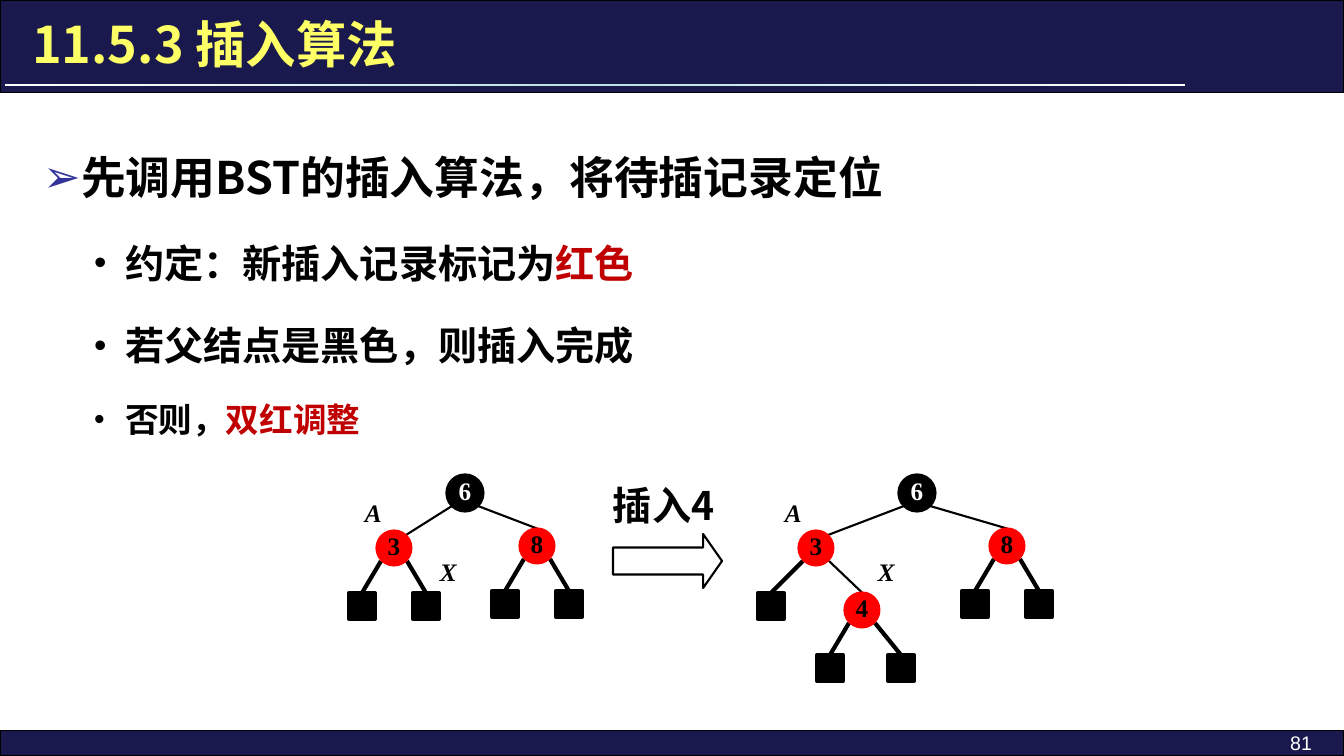
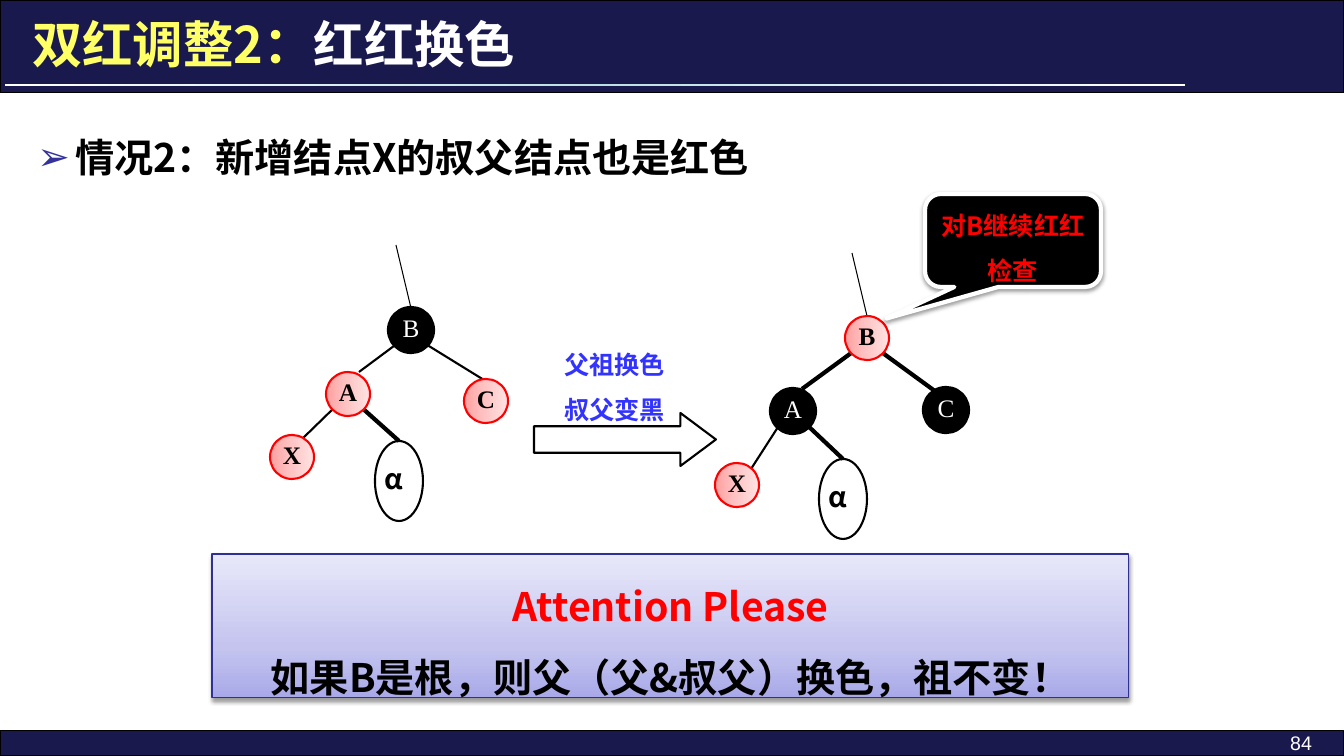
from collections import namedtuple

from lxml.etree import SubElement
from pptx import Presentation
from pptx.dml.color import RGBColor
from pptx.enum.shapes import MSO_CONNECTOR, MSO_SHAPE
from pptx.enum.text import MSO_ANCHOR, MSO_AUTO_SIZE, PP_ALIGN
from pptx.oxml.ns import qn
from pptx.util import Pt

EMU_PER_PX = 914400 / 100.8
WIDTH, HEIGHT = 1344, 756

NAVY = RGBColor(0x19, 0x19, 0x4D)
INDIGO = RGBColor(0x2F, 0x2F, 0x98)
BULLET = RGBColor(0x33, 0x33, 0x99)
BLUE = RGBColor(0x33, 0x33, 0xFF)
YELLOW = RGBColor(0xFF, 0xFF, 0x66)
RED = RGBColor(0xFF, 0x00, 0x00)
DARK_RED = RGBColor(0xC0, 0x00, 0x00)
BLACK = RGBColor(0x00, 0x00, 0x00)
WHITE = RGBColor(0xFF, 0xFF, 0xFF)
TEAL = RGBColor(0xBB, 0xE0, 0xE3)

PINK_FADE = ([(0, RGBColor(0xFF, 0xA0, 0xA0)), (50, RGBColor(0xFF, 0xC5, 0xC5)),
              (100, RGBColor(0xFF, 0xE3, 0xE3))], 0)
LILAC_FADE = ([(0, RGBColor(0xA9, 0xA9, 0xE9)), (35, RGBColor(0xC4, 0xC4, 0xEF)),
               (100, RGBColor(0xE8, 0xE8, 0xFA))], 270)
RULE_FADE = ([(0, WHITE), (50, TEAL), (100, WHITE)], 0)

CJK, SERIF, SANS = "Noto Sans CJK SC", "Times New Roman", "Arial"

Kind = namedtuple("Kind", "preset w h fill line line_pt font")
Node = namedtuple("Node", "label kind x y parent join weight", defaults=(None, None, 1.5))

NODE_FONT = {"name": SERIF, "size": 18, "bold": True}
LIGHT_FONT = {**NODE_FONT, "color": WHITE}
ROOT = Kind(MSO_SHAPE.OVAL, 35, 35, BLACK, BLACK, 3, LIGHT_FONT)
INNER = Kind(MSO_SHAPE.OVAL, 35, 35, RED, RED, 1.5, NODE_FONT)
LEAF = Kind(MSO_SHAPE.RECTANGLE, 26, 26, BLACK, BLACK, 3, NODE_FONT)
DARK = Kind(MSO_SHAPE.OVAL, 44, 44, BLACK, BLACK, 3, {**LIGHT_FONT, "bold": False})
PINK = Kind(MSO_SHAPE.OVAL, 44, 44, PINK_FADE, RED, 1.5, NODE_FONT)
SUBTREE = Kind(MSO_SHAPE.OVAL, 48, 80, None, BLACK, 1.5, {"size": 20})


def px(*lengths):
    return [round(n * EMU_PER_PX) for n in lengths]


def add_run(p, text, name=CJK, size=28, color=BLACK, bold=True, italic=False):
    r = p.add_run()
    r.text = text
    for key, value in {"name": name, "size": Pt(size), "bold": bold, "italic": italic}.items():
        setattr(r.font, key, value)
    r.font.color.rgb = color
    SubElement(r.font._element, qn("a:ea")).set("typeface", CJK)


def set_frame(tf, **values):
    for key, value in values.items():
        setattr(tf, key, value)


def write_lines(tf, lines, align, spacing=1.0):
    """Fill a frame with one paragraph for each (text, font values) pair."""
    for i, (text, font) in enumerate(lines):
        p = tf.add_paragraph() if i else tf.paragraphs[0]
        p.alignment, p.line_spacing = align, spacing
        add_run(p, text, **font)


def add_text(slide, box, lines, align=PP_ALIGN.LEFT, spacing=1.0):
    tf = slide.shapes.add_textbox(*px(*box)).text_frame
    tf.word_wrap = True
    write_lines(tf, lines, align, spacing)


def set_gradient(fill, sp, stops, angle):
    fill.gradient()
    grad = sp.element.spPr.find(qn("a:gradFill"))
    for child in list(grad):
        grad.remove(child)
    gs_list = SubElement(grad, qn("a:gsLst"))
    for pos, color in stops:
        gs = SubElement(gs_list, qn("a:gs"), pos=str(pos * 1000))
        SubElement(gs, qn("a:srgbClr"), val=str(color))
    SubElement(grad, qn("a:lin"), ang=str(angle * 60000), scaled="0")


def add_shape(slide, preset, box, fill=None, line=BLACK, line_pt=0.75, adjust=()):
    sp = slide.shapes.add_shape(preset, *px(*box))
    sp.shadow.inherit = False
    for i, value in enumerate(adjust):
        sp.adjustments[i] = value
    if fill is None:
        sp.fill.background()
    elif isinstance(fill, RGBColor):
        sp.fill.solid()
        sp.fill.fore_color.rgb = fill
    else:
        set_gradient(sp.fill, sp, *fill)
    if line is None:
        sp.line.fill.background()
    else:
        sp.line.color.rgb = line
        sp.line.width = Pt(line_pt)
    return sp


def add_soft_shadow(sp):
    effects = sp.element.spPr.find(qn("a:effectLst"))
    shadow = SubElement(effects, qn("a:outerShdw"), blurRad=str(Pt(3.1)), dist=str(Pt(1.6)),
                        dir="5400000", rotWithShape="0")
    color = SubElement(shadow, qn("a:srgbClr"), val=str(BLACK))
    SubElement(color, qn("a:alpha"), val="38000")


def add_line(slide, x1, y1, x2, y2, weight):
    line = slide.shapes.add_connector(MSO_CONNECTOR.STRAIGHT, *px(x1, y1, x2, y2))
    line.line.color.rgb = BLACK
    line.line.width = Pt(weight)
    SubElement(line.element.spPr, qn("a:effectLst"))


def add_node(slide, cx, cy, label, kind):
    box = (cx - kind.w / 2, cy - kind.h / 2, kind.w, kind.h)
    sp = add_shape(slide, kind.preset, box, kind.fill, kind.line, kind.line_pt)
    if label:
        right = 10 if kind is SUBTREE else 0
        set_frame(sp.text_frame, word_wrap=False, margin_left=0, margin_top=0,
                  margin_right=px(right)[0], margin_bottom=px(5)[0],
                  vertical_anchor=MSO_ANCHOR.MIDDLE)
        write_lines(sp.text_frame, [(label, kind.font)], PP_ALIGN.CENTER)


def draw_tree(slide, left, top, nodes):
    """Join each node to its parent's lower shoulder, then set the nodes on top."""
    for node in nodes:
        if node.parent is None:
            continue
        parent = nodes[node.parent]
        side = 13 if node.x > parent.x else -13
        dx, dy = node.join or (0, -node.kind.h / 2)
        add_line(slide, left + parent.x + side, top + parent.y + 13,
                 left + node.x + dx, top + node.y + dy, node.weight)
    for node in nodes:
        add_node(slide, left + node.x, top + node.y, node.label, node.kind)


def leaves(nodes, parent, *offsets):
    return [Node("", LEAF, nodes[parent].x + dx, nodes[parent].y + 58, parent, None, 3)
            for dx in offsets]


def set_bullet(p, char, left, hang, color=None, percent=None):
    pPr = p._p.get_or_add_pPr()
    pPr.set("marL", str(px(left)[0]))
    pPr.set("indent", str(px(-hang)[0]))
    if color is not None:
        SubElement(SubElement(pPr, qn("a:buClr")), qn("a:srgbClr"), val=str(color))
    if percent:
        SubElement(pPr, qn("a:buSzPct"), val=str(percent * 1000))
    SubElement(pPr, qn("a:buChar"), char=char)


def place(sp, box):
    sp.left, sp.top, sp.width, sp.height = px(*box)
    set_frame(sp.text_frame, word_wrap=True, auto_size=MSO_AUTO_SIZE.NONE)
    return sp.text_frame


def fill_body(slide, box, items):
    """Write (level, size, runs) items as a bulleted list."""
    tf = place(slide.placeholders[1], box)
    for i, (level, size, runs) in enumerate(items):
        p = tf.add_paragraph() if i else tf.paragraphs[0]
        p.level = level
        if level:
            set_bullet(p, "•", 82, 31, percent=90)
        else:
            set_bullet(p, "➢", 38, 38, BULLET)
        p.line_spacing = 1.5
        p.space_before = Pt(0.3 * size if i else 0)
        for text, font in runs:
            add_run(p, text, size=size, **font)


def add_bands(layout, slide):
    """Draw the bands and the rule, then hand them over to the layout."""
    bands = [
        add_shape(slide, MSO_SHAPE.RECTANGLE, (0, 731, WIDTH, 25), NAVY),
        add_shape(slide, MSO_SHAPE.RECTANGLE, (0, 0, WIDTH, 93), NAVY),
        add_shape(slide, MSO_SHAPE.RECTANGLE, (5, 84, 1180, 2), RULE_FADE, None),
    ]
    first = layout.shapes[0].element
    for i, sp in enumerate(bands):
        sp.element.nvSpPr.cNvPr.set("id", str(20 + i))
        first.addprevious(sp.element)


def add_titled_slide(prs, title, number):
    slide = prs.slides.add_slide(prs.slide_layouts[1])
    tf = place(slide.shapes.title, (22, 8, 1164, 71))
    tf.vertical_anchor = MSO_ANCHOR.MIDDLE
    p = tf.paragraphs[0]
    p.alignment = PP_ALIGN.LEFT
    for text, color in title:
        add_run(p, text, size=36, color=color)
    font = {"name": SANS, "size": 14, "color": WHITE, "bold": False}
    add_text(slide, (1120, 726, 202, 25), [(number, font)], PP_ALIGN.RIGHT)
    return slide


def build_insertion(prs):
    slide = add_titled_slide(prs, [("11.5.3 插入算法", YELLOW)], "81")
    fill_body(slide, (33, 118, 1277, 588), [
        (0, 32, [("先调用BST的插入算法，将待插记录定位", {})]),
        (1, 28, [("约定：新插入记录标记为", {}), ("红色", {"color": DARK_RED})]),
        (1, 28, [("若父结点是黑色，则插入完成", {})]),
        (1, 24, [("否则，", {"name": SERIF}), ("双红调整", {"color": DARK_RED})]),
    ])
    shoulder = (12, -13)
    before = [Node("6", ROOT, 125, 23), Node("3", INNER, 54, 78, 0, shoulder),
              Node("8", INNER, 197, 76, 0)]
    before += leaves(before, 1, -32, 32) + leaves(before, 2, -32, 32)
    draw_tree(slide, 340, 470, before)

    after = [Node("6", ROOT, 167, 23), Node("3", INNER, 66, 78, 0, shoulder),
             Node("8", INNER, 257, 76, 0), Node("4", INNER, 112, 140, 1)]
    after += leaves(after, 1, -45) + leaves(after, 2, -32, 32) + leaves(after, 3, -32, 39)
    draw_tree(slide, 750, 470, after)

    for text, x, y in [("A", 355, 492), ("X", 430, 551), ("A", 775, 492), ("X", 868, 551)]:
        add_text(slide, (x, y, 36, 40), [(text, {**NODE_FONT, "italic": True})])
    add_shape(slide, MSO_SHAPE.RIGHT_ARROW, (613, 534, 109, 54), None, BLACK, 1.5, (0.5, 0.35))
    add_text(slide, (603, 472, 135, 44), [("插入4", {})], spacing=1.1)
    return slide


def draw_rotation_tree(slide, left, top, nodes):
    root = nodes[0]
    x, y = left + root.x, top + root.y
    add_line(slide, x - 15, y - 85, x, y - 22, 0.75)
    draw_tree(slide, left, top, nodes)


def add_callout(slide, box):
    sp = add_shape(slide, MSO_SHAPE.ROUNDED_RECTANGULAR_CALLOUT, box, BLACK, WHITE, 3,
                   (-0.72, 0.84, 0.17))
    add_soft_shadow(sp)
    set_frame(sp.text_frame, word_wrap=True, vertical_anchor=MSO_ANCHOR.MIDDLE)
    write_lines(sp.text_frame, [("对B继续红红检查", {"size": 18, "color": RED})],
                PP_ALIGN.CENTER, 1.5)


def add_attention(slide, box):
    sp = add_shape(slide, MSO_SHAPE.RECTANGLE, box, LILAC_FADE, INDIGO)
    add_soft_shadow(sp)
    set_frame(sp.text_frame, word_wrap=True, vertical_anchor=MSO_ANCHOR.TOP)
    write_lines(sp.text_frame, [("Attention Please", {"color": RED}),
                                ("如果B是根，则父（父&叔父）换色，祖不变！", {})],
                PP_ALIGN.CENTER, 1.5)


def build_recolouring(prs):
    slide = add_titled_slide(prs, [("双红调整2：", YELLOW), ("红红换色", WHITE)], "84")
    fill_body(slide, (27, 105, 1277, 88), [(0, 28, [("情况2：新增结点X的叔父结点也是红色", {})])])
    draw_rotation_tree(slide, 270, 245, [
        Node("B", DARK, 141, 85), Node("A", PINK, 78, 149, 0, (11, -22)),
        Node("C", PINK, 216, 156, 0, (-2, -21)), Node("X", PINK, 22, 212, 1, (6, -14)),
        Node("α", SUBTREE, 129, 236, 1, None, 3),
    ])
    draw_rotation_tree(slide, 715, 253, [
        Node("B", PINK, 152, 85), Node("A", DARK, 78, 158, 0, (9, -22), 3),
        Node("C", DARK, 231, 157, 0, (-7, -16), 3), Node("X", PINK, 22, 232, 1, (14, -16)),
        Node("α", SUBTREE, 128, 246, 1, None, 3),
    ])
    font = {"size": 18, "color": BLUE}
    add_text(slide, (515, 329, 199, 95), [("父祖换色", font), ("叔父变黑", font)],
             PP_ALIGN.CENTER, 1.5)
    add_shape(slide, MSO_SHAPE.RIGHT_ARROW, (534, 413, 182, 53), None, BLACK, 1.5, (0.5, 0.67))
    add_callout(slide, (925, 194, 176, 93))
    add_attention(slide, (212, 554, 917, 144))


def main():
    prs = Presentation()
    prs.slide_width, prs.slide_height = px(WIDTH, HEIGHT)
    slide = build_insertion(prs)
    add_bands(slide.slide_layout, slide)
    build_recolouring(prs)
    prs.save("out.pptx")


if __name__ == "__main__":
    main()
